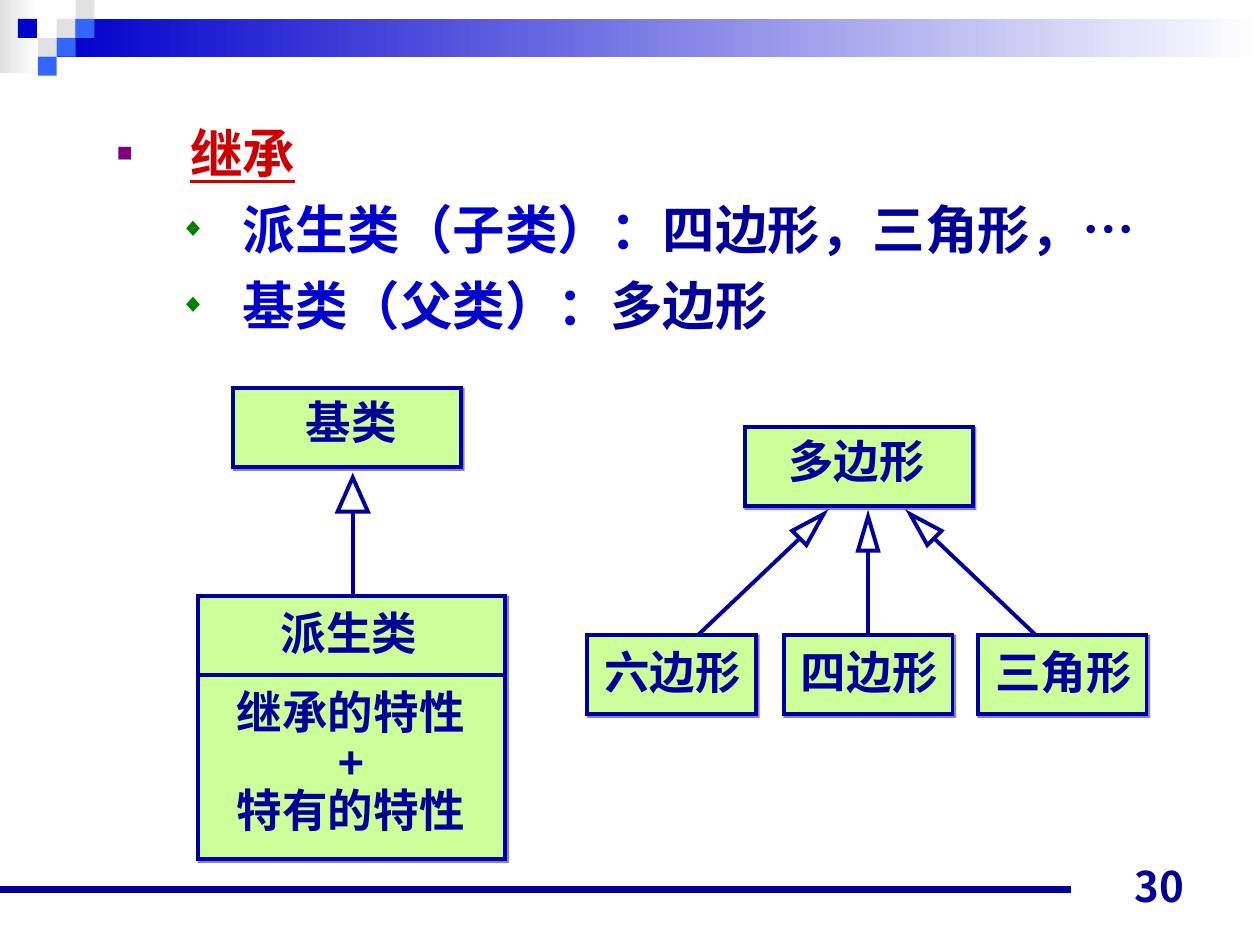
from dataclasses import dataclass

from lxml import etree
from pptx import Presentation
from pptx.dml.color import RGBColor
from pptx.enum.shapes import MSO_CONNECTOR, MSO_SHAPE
from pptx.enum.text import MSO_ANCHOR, MSO_AUTO_SIZE, PP_ALIGN
from pptx.oxml.ns import qn
from pptx.util import Inches, Pt

RECT, TRI = MSO_SHAPE.RECTANGLE, MSO_SHAPE.ISOSCELES_TRIANGLE
STRAIGHT = MSO_CONNECTOR.STRAIGHT
LEFT, MID, RIGHT = PP_ALIGN.LEFT, PP_ALIGN.CENTER, PP_ALIGN.RIGHT
TOP, BOTTOM = MSO_ANCHOR.TOP, MSO_ANCHOR.BOTTOM
FIXED, GROW = MSO_AUTO_SIZE.NONE, MSO_AUTO_SIZE.SHAPE_TO_FIT_TEXT


@dataclass(frozen=True)
class Theme:
    navy: str = "000099"
    blue: str = "0000CC"
    sky: str = "3366FF"
    grey: str = "E1E1E1"
    white: str = "FFFFFF"
    lime: str = "CCFF99"
    red: str = "CC0000"
    purple: str = "800080"
    green: str = "008000"
    font: str = "Arial"
    num_font: str = "Noto Sans CJK JP"
    body: int = 30
    label: int = 26
    num: int = 24
    line: float = 2.25
    rule: float = 4.5


T = Theme()


def rgb(code):
    return RGBColor.from_string(code)


def add_el(parent, tag, **attrs):
    return etree.SubElement(parent, qn(tag), attrs)


def add_box(slide, x, y, w, h, kind=RECT, fill=None, line=None, turn=0):
    box = slide.shapes.add_shape(kind, Inches(x), Inches(y), Inches(w), Inches(h))
    box.shadow.inherit = False
    box.rotation = turn
    if fill:
        box.fill.solid()
        box.fill.fore_color.rgb = rgb(fill)
    else:
        box.fill.background()
    if line:
        box.line.color.rgb = rgb(line)
        box.line.width = Pt(T.line)
        # Sharp corners
        add_el(box._element.spPr.find(qn("a:ln")), "a:miter", lim="800000")
    else:
        box.line.fill.background()
    return box


def add_fade(slide, x, y, w, h, color):
    fill = add_box(slide, x, y, w, h).fill
    fill.gradient()
    fill.gradient_angle = 180
    for stop, code in zip(fill.gradient_stops, (T.white, color)):
        stop.color.rgb = rgb(code)


def add_class(slide, x, y, w, h):
    """Class box with a hard, half-clear shadow."""
    box = add_box(slide, x, y, w, h, fill=T.lime, line=T.navy)
    effects = box._element.spPr.find(qn("a:effectLst"))
    shade = add_el(effects, "a:outerShdw", dist=str(Pt(1.4)), dir="2700000",
                   algn="ctr", rotWithShape="0")
    color = add_el(shade, "a:srgbClr", val=T.blue)
    add_el(color, "a:alpha", val="50000")


def add_line(slide, x1, y1, x2, y2, width=T.line):
    line = slide.shapes.add_connector(
        STRAIGHT, Inches(x1), Inches(y1), Inches(x2), Inches(y2))
    line.line.color.rgb = rgb(T.navy)
    line.line.width = Pt(width)
    add_el(line._element.spPr, "a:effectLst")


def add_bullet(para, char, color, indent, hang):
    props = para._p.get_or_add_pPr()
    props.set("marL", str(Inches(indent)))
    props.set("indent", str(-Inches(hang)))
    add_el(add_el(props, "a:buClr"), "a:srgbClr", val=color)
    add_el(props, "a:buSzPct", val="50000")
    add_el(props, "a:buFont", typeface=T.font)
    add_el(props, "a:buChar", char=char)


def add_text(slide, lines, x, y, w, h, size=T.label, font=T.font, align=MID,
             anchor=TOP, wrap=True, space=None, before=0, bullets=()):
    """Each line is a list of (words, color, underline) runs."""
    frame = slide.shapes.add_textbox(
        Inches(x), Inches(y), Inches(w), Inches(h)).text_frame
    frame.word_wrap = wrap
    frame.auto_size = FIXED if wrap else GROW
    frame.vertical_anchor = anchor
    for i, runs in enumerate(lines):
        para = frame.paragraphs[0] if i == 0 else frame.add_paragraph()
        if bullets:
            add_bullet(para, *bullets[i])
        para.alignment = align
        if space:
            para.line_spacing = space
        if i and before:
            para.space_before = Pt(before)
        for words, color, under in runs:
            run = para.add_run()
            run.text = words
            run.font.size, run.font.name = Pt(size), font
            run.font.bold, run.font.underline = True, under
            run.font.color.rgb = rgb(color)


def add_label(slide, lines, x, y, w=1.3, h=0.54, space=None):
    add_text(slide, [[(line, T.navy, False)] for line in lines], x, y, w, h,
             wrap=False, space=space)


def add_frame(slide):
    """Top band, pixel blocks and bottom rule."""
    add_fade(slide, 0, 0, 0.31, 0.58, T.grey)
    add_fade(slide, 0.45, 0.15, 9.55, 0.3, T.blue)
    unit = 0.15
    blocks = [(3, 1, T.grey), (4, 0, T.grey), (4, 1, T.sky), (2, 2, T.grey),
              (0.95, 1, T.blue), (3, 2, T.sky), (2, 3, T.sky)]
    for col, row, color in blocks:
        add_box(slide, col * unit, row * unit, unit, unit, fill=color)
    add_line(slide, 0, 7.06, 8.5, 7.06, T.rule)


def add_body(slide):
    lines = [
        [("继承", T.red, True)],
        [("派生类（子类）：", T.blue, False), ("四边形，三角形，…", T.navy, False)],
        [("基类（父类）：", T.blue, False), ("多边形", T.navy, False)],
    ]
    sub = ("◆", T.green, 1.5, 0.5)
    add_text(slide, lines, 0.33, 0.91, 9.15, 2.05, size=T.body, align=LEFT,
             before=7.5, bullets=[("■", T.purple, 1.08, 0.58), sub, sub])


def add_pair(slide):
    """Base class above its derived class."""
    add_class(slide, 1.57, 4.73, 2.44, 2.09)
    add_label(slide, ["派生类"], 2.12, 4.75)
    add_line(slide, 1.57, 5.36, 4.02, 5.36)
    add_label(slide, ["继承的特性", "+", "特有的特性"], 1.78, 5.43, 2.01, 1.27, 0.9)
    add_class(slide, 1.85, 3.08, 1.81, 0.63)
    add_label(slide, ["基类"], 2.33, 3.08, 0.92)
    add_box(slide, 2.68, 3.79, 0.24, 0.27, TRI, line=T.navy)
    add_line(slide, 2.8, 4.06, 2.8, 4.73)


def add_tree(slide):
    """Polygon with its three kinds."""
    add_class(slide, 5.91, 3.39, 1.81, 0.63)
    add_label(slide, ["多边形"], 6.15, 3.39)
    # name, box left, arrow (left, top, turn), line (from x, y, to x)
    kinds = [
        ("六边形", 4.66, (6.36, 4.04, 45.5), (6.34, 4.28, 5.54)),
        ("四边形", 6.22, (6.81, 4.1, 0), (6.89, 4.37, 6.89)),
        ("三角形", 7.76, (7.24, 4.04, 314.5), (7.41, 4.27, 8.22)),
    ]
    top = 5.04
    for name, x, (ax, ay, turn), (x1, y1, x2) in kinds:
        add_class(slide, x, top, 1.34, 0.63)
        add_label(slide, [name], x + 0.03, top + 0.02)
        add_box(slide, ax, ay, 0.16, 0.27, TRI, line=T.navy, turn=turn)
        add_line(slide, x1, y1, x2, top)


def main():
    deck = Presentation()
    deck.slide_width, deck.slide_height = Inches(10), Inches(7.5)
    slide = deck.slides.add_slide(deck.slide_layouts[6])
    add_frame(slide)
    add_body(slide)
    add_pair(slide)
    add_tree(slide)
    # Page number
    add_text(slide, [[("30", T.navy, False)]], 7.17, 6.78, 2.33, 0.5,
             size=T.num, font=T.num_font, align=RIGHT, anchor=BOTTOM)
    deck.save("out.pptx")


if __name__ == "__main__":
    main()
